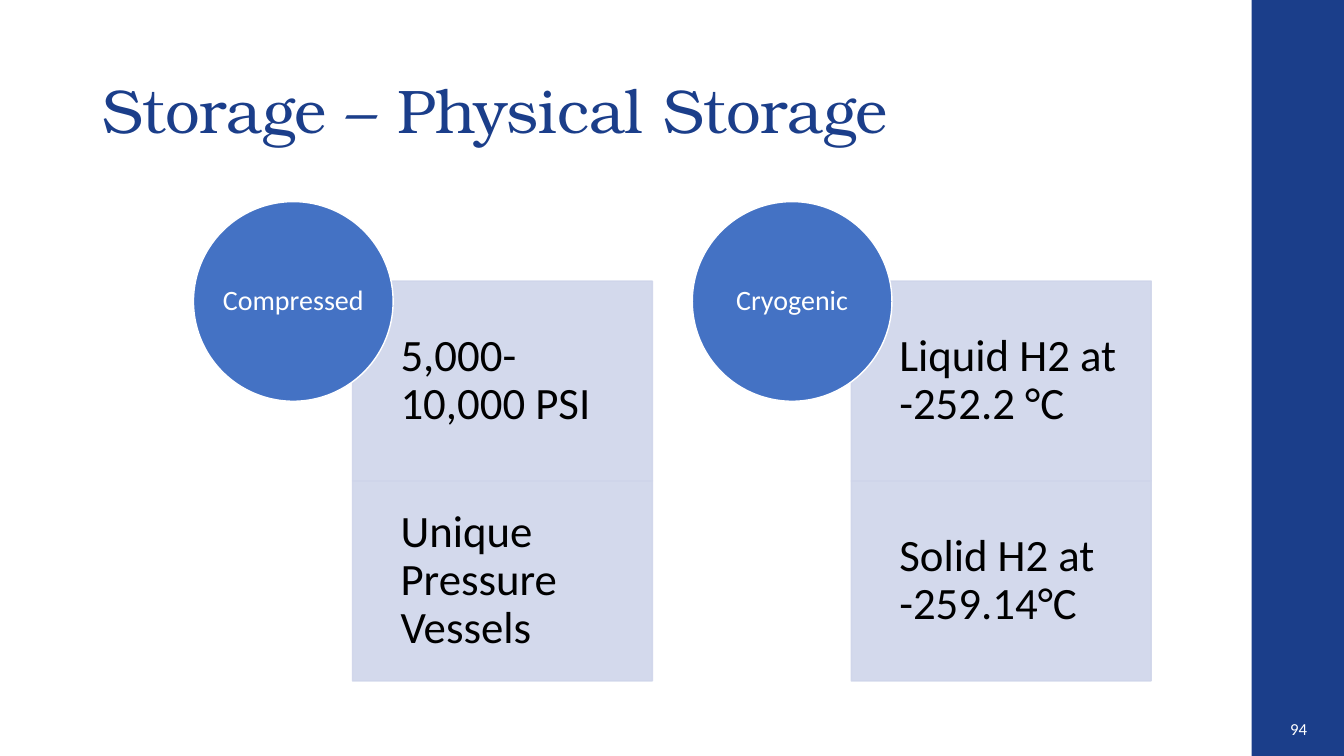
"""Build the slide on physical storage of hydrogen."""
import pptx
import pptx.util
import pptx.dml.color
import pptx.enum.shapes
import pptx.enum.text
import lxml.etree
from pptx.oxml.ns import qn

Pt = pptx.util.Pt
RGBColor = pptx.dml.color.RGBColor
MSO_SHAPE = pptx.enum.shapes.MSO_SHAPE
PP_ALIGN = pptx.enum.text.PP_ALIGN

NAVY = RGBColor(0x1B, 0x3E, 0x8A)
BLUE = RGBColor(0x44, 0x72, 0xC4)
LAVENDER = RGBColor(0xCF, 0xD5, 0xEA)
WHITE = RGBColor(0xFF, 0xFF, 0xFF)
BLACK = RGBColor(0x00, 0x00, 0x00)

CIRCLE_LEFT, CIRCLE_TOP, CIRCLE_SIZE = 138.2, 144, 142.6
PANEL_LEFT, PANEL_TOP, PANEL_WIDTH, PANEL_HEIGHT = 251.8, 200.8, 214.2, 142.8
COLUMN_STEP = 356.3
STORAGE_TYPES = [
    ("Compressed", ["5,000-10,000 PSI", "Unique Pressure Vessels"]),
    ("Cryogenic", ["Liquid H2 at -252.2 °C", "Solid H2 at -259.14°C"]),
]


def add_filled_shape(kind, left, top, width, height, fill, line=None, opacity=None):
    shape = slide.shapes.add_shape(kind, Pt(left), Pt(top), Pt(width), Pt(height))
    shape.shadow.inherit = False
    shape.fill.solid()
    shape.fill.fore_color.rgb = fill
    if line is None:
        shape.line.fill.background()
    else:
        shape.line.color.rgb = line
        shape.line.width = Pt(1)
    if opacity is not None:
        for color in shape._element.spPr.iter(qn("a:srgbClr")):
            lxml.etree.SubElement(color, qn("a:alpha")).set("val", str(opacity * 1000))
    return shape


def write_text(shape, text, size, color, align, insets, font="Calibri", spacing=0.9):
    frame = shape.text_frame
    frame.word_wrap = True
    frame.vertical_anchor = pptx.enum.text.MSO_ANCHOR.MIDDLE
    frame.margin_left, frame.margin_top, frame.margin_right, frame.margin_bottom = map(Pt, insets)
    paragraph = frame.paragraphs[0]
    paragraph.alignment = align
    paragraph.line_spacing = spacing
    run = paragraph.add_run()
    run.text = text
    run.font.size = Pt(size)
    run.font.name = font
    run.font.color.rgb = color


presentation = pptx.Presentation()
presentation.slide_width = Pt(960)
presentation.slide_height = Pt(540)
slide = presentation.slides.add_slide(presentation.slide_layouts[6])

add_filled_shape(MSO_SHAPE.RECTANGLE, 894, 0, 66, 540, NAVY)

page_number = slide.shapes.add_textbox(Pt(904.3), Pt(506.5), Pt(36.5), Pt(28.8))
write_text(page_number, "94", 12, WHITE, PP_ALIGN.RIGHT, (7.2, 3.6, 7.2, 3.6), spacing=1.0)

title = slide.shapes.add_textbox(Pt(66), Pt(28.8), Pt(828), Pt(104.4))
write_text(title, "Storage – Physical Storage", 44, NAVY, PP_ALIGN.LEFT,
           (7.2, 3.6, 7.2, 3.6), font="TeX Gyre Bonum")

for column, (name, facts) in enumerate(STORAGE_TYPES):
    offset = column * COLUMN_STEP
    for row, fact in enumerate(facts):
        panel = add_filled_shape(MSO_SHAPE.RECTANGLE, PANEL_LEFT + offset,
                                 PANEL_TOP + row * PANEL_HEIGHT, PANEL_WIDTH, PANEL_HEIGHT,
                                 LAVENDER, LAVENDER, 90)
        write_text(panel, fact, 32, BLACK, PP_ALIGN.LEFT, (34.3, 18, 18, 18))
    circle = add_filled_shape(MSO_SHAPE.OVAL, CIRCLE_LEFT + offset, CIRCLE_TOP,
                              CIRCLE_SIZE, CIRCLE_SIZE, BLUE, WHITE)
    write_text(circle, name, 20, WHITE, PP_ALIGN.CENTER, (0, 0, 0, 0))

presentation.save("out.pptx")
